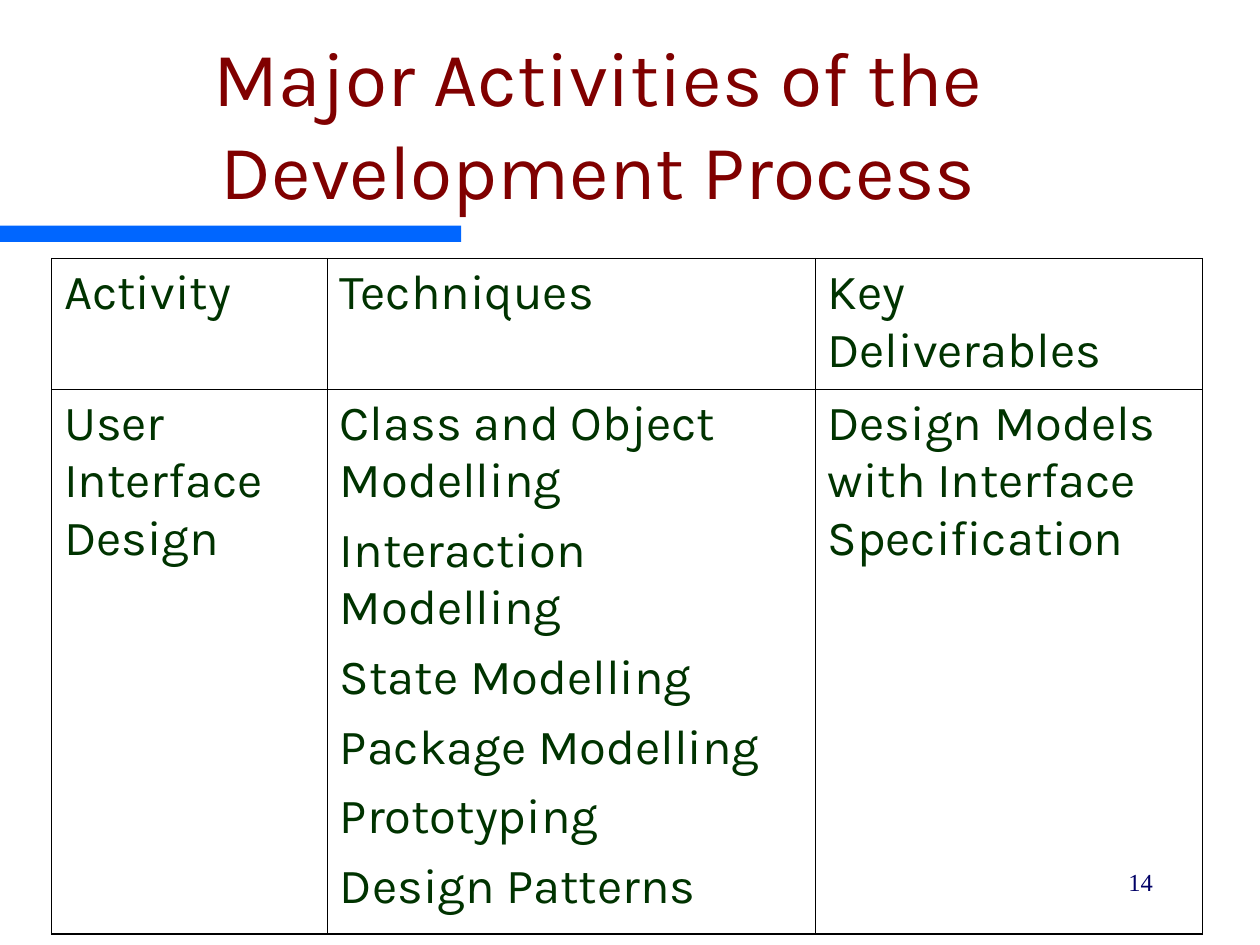
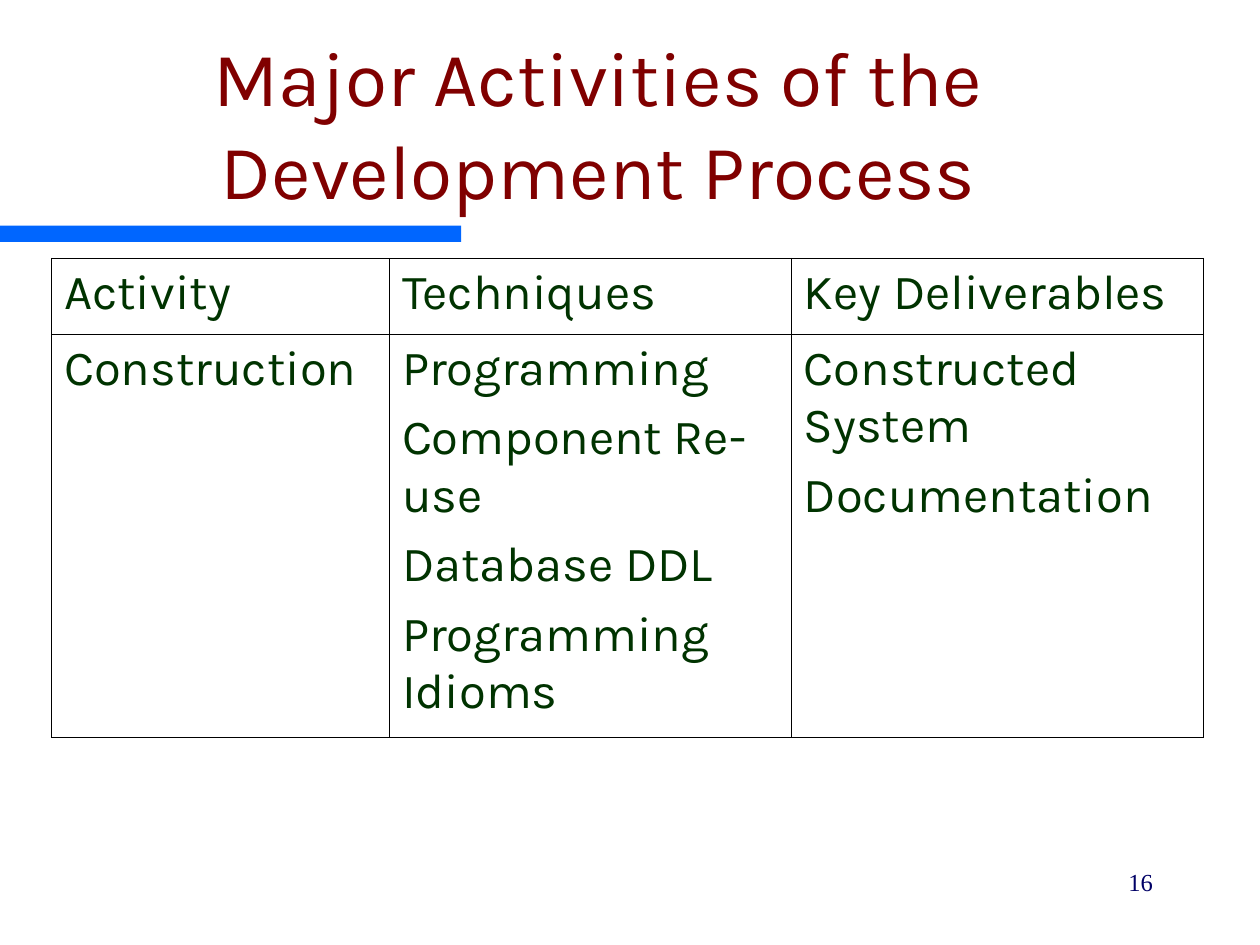
from lxml import etree
from pptx import Presentation
from pptx import util as u
from pptx.dml import color
from pptx.enum import shapes, text
from pptx.oxml import ns

TITLE = "Major Activities of the Development Process"
HEADINGS = ["Activity", "Techniques", "Key Deliverables"]


def rgb(value):
    return color.RGBColor.from_string(value)


class Deck:
    MAROON, GREEN, NAVY = "800000", "003300", "000066"
    BLUE, BLACK, WHITE = "0066FF", "000000", "FFFFFF"
    BODY_FONT, NUMBER_FONT = "Karla", "Times New Roman"
    OUTER_LINE, INNER_LINE = 0.75, 0.45

    def __init__(self):
        self.presentation = Presentation()
        self.presentation.slide_width = u.Cm(25.4)
        self.presentation.slide_height = u.Cm(19.05)
        self.slide = None

    def add_slide(self, title, number, table):
        layout = self.presentation.slide_layouts[6]
        self.slide = self.presentation.slides.add_slide(layout)
        self.add_band()
        self.add_title(title)
        self.add_table(**table)
        self.add_number(number)

    def add_run(self, paragraph, words, size, font, colour):
        run = paragraph.add_run()
        run.text = words
        run.font.size = u.Pt(size)
        run.font.name = font
        run.font.color.rgb = rgb(colour)

    def add_text_box(self, left, top, width, height):
        box = self.slide.shapes.add_textbox(
            u.Cm(left), u.Cm(top), u.Cm(width), u.Cm(height))
        box.text_frame.word_wrap = True
        return box.text_frame

    def add_band(self):
        band = self.slide.shapes.add_shape(
            shapes.MSO_SHAPE.RECTANGLE, 0, u.Cm(4.55), u.Cm(9.3), u.Cm(0.33))
        band.shadow.inherit = False
        band.fill.solid()
        band.fill.fore_color.rgb = rgb(self.BLUE)
        band.line.fill.background()

    def add_title(self, words):
        frame = self.add_text_box(0.64, 1.27, 22.86, 3.18)
        frame.vertical_anchor = text.MSO_ANCHOR.BOTTOM
        paragraph = frame.paragraphs[0]
        paragraph.alignment = text.PP_ALIGN.CENTER
        self.add_run(paragraph, words, 44, self.BODY_FONT, self.MAROON)

    def add_number(self, number):
        paragraph = self.add_text_box(18.21, 17.35, 5.28, 1.27).paragraphs[0]
        paragraph.alignment = text.PP_ALIGN.RIGHT
        paragraph.space_before = u.Pt(8.8)
        self.add_run(paragraph, str(number), 14, self.NUMBER_FONT, self.NAVY)

    def add_table(self, widths, heights, activity):
        rows = [[[heading] for heading in HEADINGS], activity]
        table = self.slide.shapes.add_table(
            len(rows), len(widths), u.Cm(1.04), u.Cm(5.21),
            u.Cm(sum(widths)), u.Cm(sum(heights))).table
        table.first_row = table.horz_banding = False
        for column, width in zip(table.columns, widths):
            column.width = u.Cm(width)
        for row, height in zip(table.rows, heights):
            row.height = u.Cm(height)
        last_row, last_column = len(rows) - 1, len(widths) - 1
        for r, row in enumerate(rows):
            for c, lines in enumerate(row):
                outer = {"L": c == 0, "R": c == last_column,
                         "T": r == 0, "B": r == last_row}
                self.fill_cell(table.cell(r, c), lines, outer)

    def fill_cell(self, cell, lines, outer):
        for side, is_outer in outer.items():
            self.add_border(cell, side, self.OUTER_LINE if is_outer else self.INNER_LINE)
        cell.fill.solid()
        cell.fill.fore_color.rgb = rgb(self.WHITE)
        frame = cell.text_frame
        for index, words in enumerate(lines):
            paragraph = frame.add_paragraph() if index else frame.paragraphs[0]
            paragraph.space_before = u.Pt(7)
            self.add_run(paragraph, words, 28, self.BODY_FONT, self.GREEN)

    def add_border(self, cell, side, width):
        properties = cell._tc.get_or_add_tcPr()
        line = etree.SubElement(properties, ns.qn("a:ln" + side), w=str(u.Pt(width)))
        fill = etree.SubElement(line, ns.qn("a:solidFill"))
        etree.SubElement(fill, ns.qn("a:srgbClr"), val=self.BLACK)


def main():
    deck = Deck()
    deck.add_slide(TITLE, 14, {
        "widths": [5.56, 9.83, 7.82],
        "heights": [2.64, 10.97],
        "activity": [
            ["User Interface Design"],
            ["Class and Object Modelling", "Interaction Modelling",
             "State Modelling", "Package Modelling", "Prototyping",
             "Design Patterns"],
            ["Design Models with Interface Specification"],
        ],
    })
    deck.add_slide(TITLE, 16, {
        "widths": [6.81, 8.1, 8.31],
        "heights": [1.52, 8.13],
        "activity": [
            ["Construction"],
            ["Programming", "Component Re-use", "Database DDL",
             "Programming Idioms"],
            ["Constructed System", "Documentation"],
        ],
    })
    deck.presentation.save("out.pptx")


if __name__ == "__main__":
    main()
